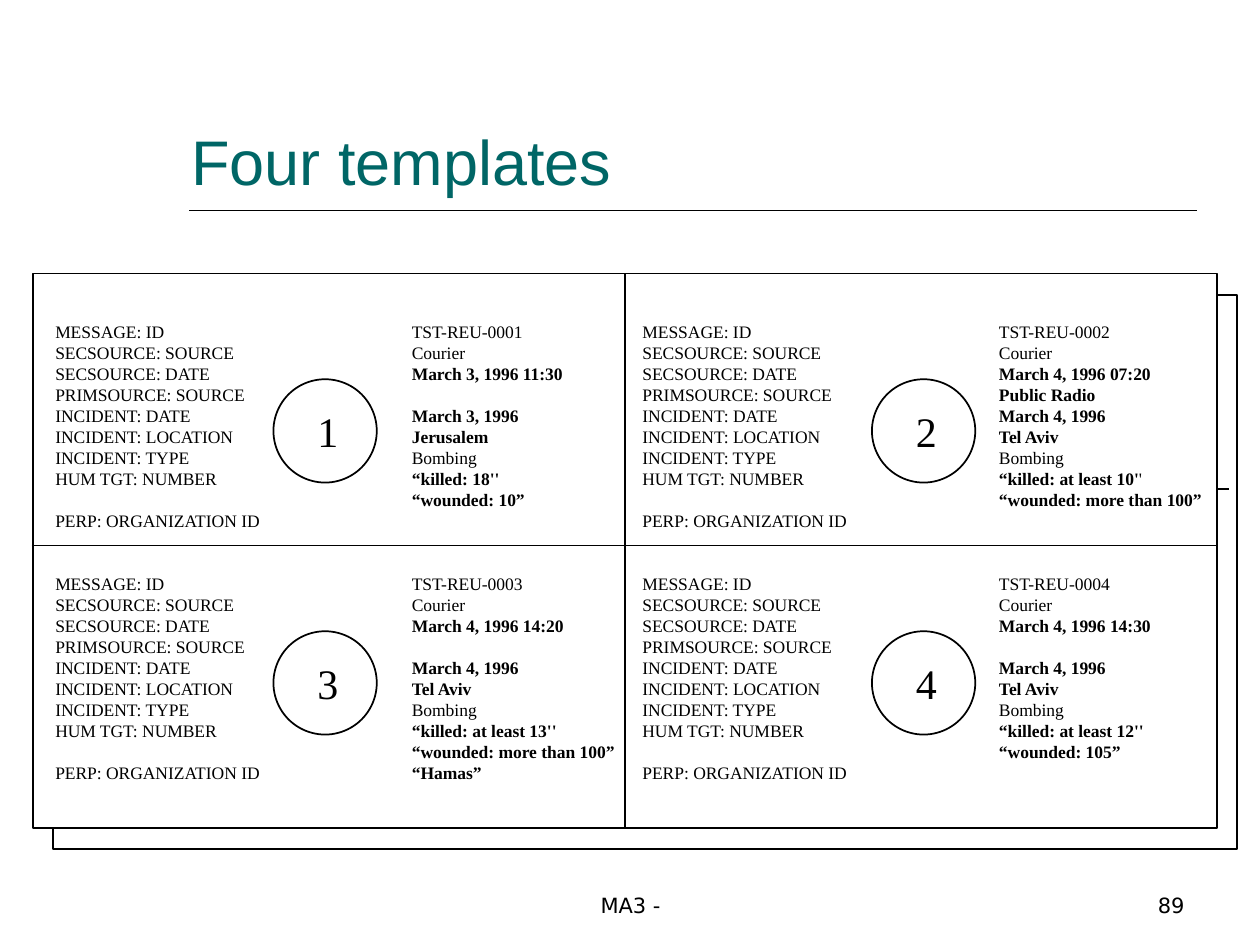
from dataclasses import dataclass

from lxml import etree
from pptx import Presentation
from pptx import util as u
from pptx.dml import color
from pptx.enum import shapes, text
from pptx.oxml import ns


@dataclass(frozen=True)
class Theme:
    ink: str = "000000"
    teal: str = "006666"
    paper: str = "FFFFFF"
    head: str = "Arial"
    body: str = "Times New Roman"
    foot: str = "DejaVu Sans"
    title: int = 36
    badge: int = 24
    note: int = 12
    row: int = 10
    pitch: int = 12
    line: int = 1


LOOK = Theme()
LABELS = [
    "MESSAGE: ID", "SECSOURCE: SOURCE", "SECSOURCE: DATE",
    "PRIMSOURCE: SOURCE", "INCIDENT: DATE", "INCIDENT: LOCATION",
    "INCIDENT: TYPE", "HUM TGT: NUMBER", "", "PERP: ORGANIZATION ID",
]
CARDS = [
    ["TST-REU-0001", "Courier", "*March 3, 1996 11:30", "", "*March 3, 1996",
     "*Jerusalem", "Bombing", "*“killed: 18''", "*“wounded: 10”", ""],
    ["TST-REU-0002", "Courier", "*March 4, 1996 07:20", "*Public Radio",
     "*March 4, 1996", "*Tel Aviv", "Bombing", "*“killed: at least 10'*'",
     "*“wounded: more than 100”", ""],
    ["TST-REU-0003", "Courier", "*March 4, 1996 14:20", "", "*March 4, 1996",
     "*Tel Aviv", "Bombing", "*“killed: at least 13''",
     "*“wounded: more than 100”", "*“Hamas”"],
    ["TST-REU-0004", "Courier", "*March 4, 1996 14:30", "", "*March 4, 1996",
     "*Tel Aviv", "Bombing", "*“killed: at least 12''", "*“wounded: 105”", ""],
]


def rgb(code):
    return color.RGBColor.from_string(code)


def style(font, face, size, tint=LOOK.ink):
    font.name = face
    font.size = u.Pt(size)
    font.color.rgb = rgb(tint)


def add_box(slide, left, top, width, height):
    box = slide.shapes.add_textbox(*map(u.Inches, (left, top, width, height)))
    box.text_frame.word_wrap = True
    return box.text_frame


def add_text(slide, words, area, face, size, tint=LOOK.ink,
             align=text.PP_ALIGN.LEFT, anchor=text.MSO_ANCHOR.TOP):
    frame = add_box(slide, *area)
    frame.text = words
    frame.vertical_anchor = anchor
    para = frame.paragraphs[0]
    para.alignment = align
    style(para.runs[0].font, face, size, tint)


def add_line(slide, left, top, right, foot):
    rule = slide.shapes.add_connector(
        shapes.MSO_CONNECTOR.STRAIGHT,
        *map(u.Inches, (left, top, right, foot)))
    rule.line.color.rgb = rgb(LOOK.ink)
    rule.line.width = u.Pt(LOOK.line)
    etree.SubElement(rule._element.spPr, ns.qn("a:effectLst"))


def add_form(slide, kind, area, fill=None):
    form = slide.shapes.add_shape(kind, *map(u.Inches, area))
    form.shadow.inherit = False
    if fill:
        form.fill.solid()
        form.fill.fore_color.rgb = rgb(fill)
    else:
        form.fill.background()
    form.line.color.rgb = rgb(LOOK.ink)
    form.line.width = u.Pt(LOOK.line)


def set_tab(para, place):
    stops = etree.SubElement(para._p.get_or_add_pPr(), ns.qn("a:tabLst"))
    etree.SubElement(stops, ns.qn("a:tab"), pos=str(u.Inches(place)), algn="l")


def add_card(slide, values, left, top):
    frame = add_box(slide, left, top, 4.75, 1.77)
    for num, (label, value) in enumerate(zip(LABELS, values)):
        para = frame.add_paragraph() if num else frame.paragraphs[0]
        set_tab(para, 2.83)
        para.line_spacing = u.Pt(LOOK.pitch)
        lead = label + "\t" if value else label
        for part, words in enumerate((lead + value).split("*")):
            run = para.add_run()
            run.text = words
            style(run.font, LOOK.body, LOOK.row)
            run.font.bold = part % 2 == 1


def add_badge(slide, num, left, top):
    add_form(slide, shapes.MSO_SHAPE.OVAL, (left, top, 0.82, 0.82))
    add_text(slide, str(num), (left + 0.25, top + 0.16, 0.42, 0.5),
             LOOK.body, LOOK.badge)


def main():
    deck = Presentation()
    deck.slide_width, deck.slide_height = u.Inches(10), u.Inches(7.5)
    slide = deck.slides.add_slide(deck.slide_layouts[6])

    add_line(slide, 1.5, 1.67, 9.5, 1.67)
    add_text(slide, "Four templates", (1.42, 0.67, 7.58, 1.21), LOOK.head,
             LOOK.title, LOOK.teal, anchor=text.MSO_ANCHOR.MIDDLE)

    add_line(slide, 0.33, 3.88, 9.75, 3.88)
    rect = shapes.MSO_SHAPE.RECTANGLE
    add_form(slide, rect, (0.42, 2.34, 9.4, 4.4))
    add_form(slide, rect, (0.26, 2.17, 9.4, 4.4), LOOK.paper)

    for num, values in enumerate(CARDS):
        row, col = divmod(num, 2)
        add_card(slide, values, 0.34 + 4.66 * col, 2.5 + 2 * row)
        add_badge(slide, num + 1, 2.17 + 4.75 * col, 3.01 + 2 * row)

    add_line(slide, 4.96, 2.17, 4.96, 6.58)
    add_line(slide, 0.25, 4.33, 9.67, 4.33)

    low = text.MSO_ANCHOR.BOTTOM
    add_text(slide, "MA3 -", (3.42, 6.83, 3.17, 0.5), LOOK.foot, LOOK.note,
             align=text.PP_ALIGN.CENTER, anchor=low)
    add_text(slide, "89", (7.17, 6.83, 2.33, 0.5), LOOK.foot, LOOK.note,
             align=text.PP_ALIGN.RIGHT, anchor=low)
    deck.save("out.pptx")


if __name__ == "__main__":
    main()
